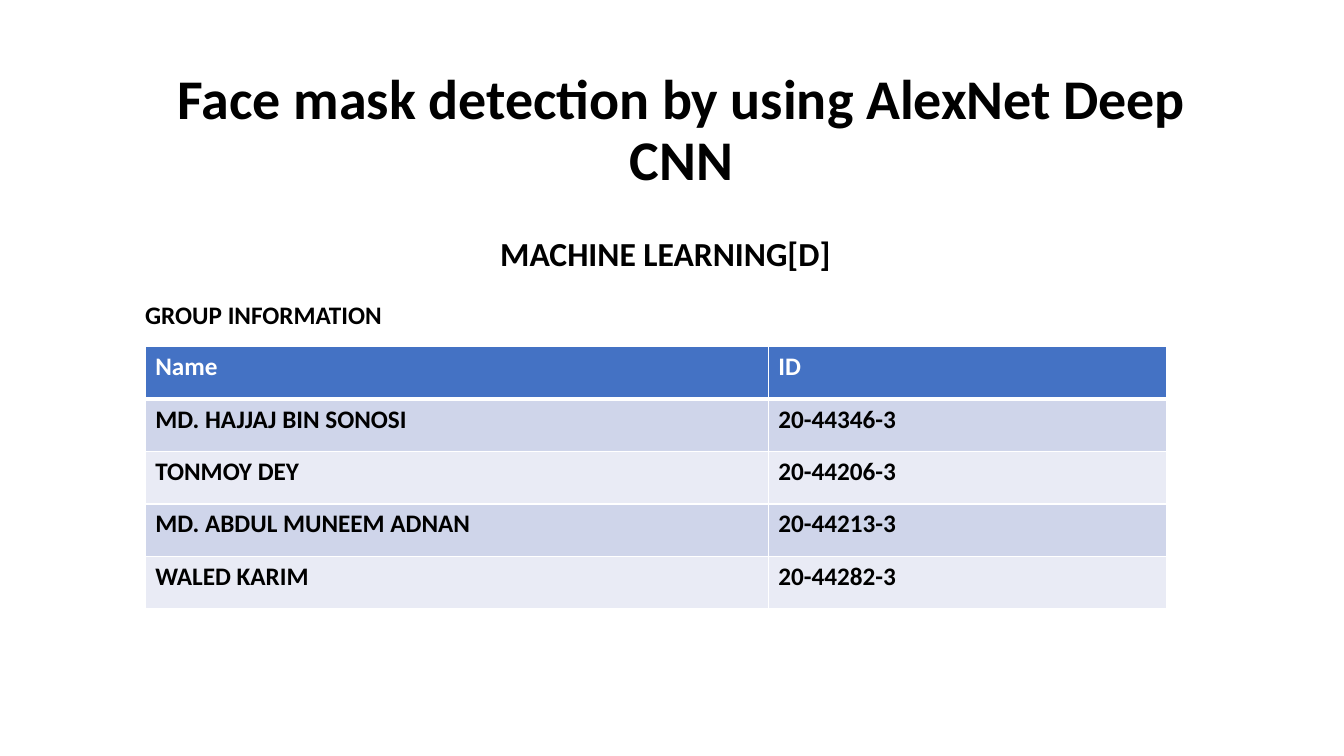
from pptx import Presentation
from pptx.dml.color import RGBColor
from pptx.enum.text import MSO_ANCHOR, MSO_AUTO_SIZE, PP_ALIGN
from pptx.oxml import parse_xml
from pptx.oxml.ns import nsdecls
from pptx.util import Inches, Pt


def color(value):
    return RGBColor.from_string(value)


def write(text_frame, text, size, font_color="000000"):
    text_frame.word_wrap = True
    paragraph = text_frame.paragraphs[0]
    paragraph.text = text
    paragraph.font.name = "Calibri"
    paragraph.font.size = Pt(size)
    paragraph.font.bold = True
    paragraph.font.color.rgb = color(font_color)
    return paragraph


presentation = Presentation()
presentation.slide_width = Inches(13.33)
presentation.slide_height = Inches(7.5)
slide = presentation.slides.add_slide(presentation.slide_layouts[5])

title = slide.shapes.title
title.left, title.top = Inches(1.32), Inches(0.84)
title.width, title.height = Inches(10.88), Inches(1.12)
title.text_frame.auto_size = MSO_AUTO_SIZE.NONE
title.text_frame.vertical_anchor = MSO_ANCHOR.BOTTOM
paragraph = write(title.text_frame, "Face mask detection by using AlexNet Deep CNN", 40)
paragraph.alignment = PP_ALIGN.CENTER
paragraph.line_spacing = 0.9

course = slide.shapes.add_textbox(Inches(1), Inches(2.31), Inches(11.2), Inches(0.61))
paragraph = write(course.text_frame, "MACHINE LEARNING[D]", 24)
paragraph.alignment = PP_ALIGN.CENTER
paragraph.line_spacing = 0.9

group = slide.shapes.add_textbox(Inches(1), Inches(2.92), Inches(11.22), Inches(4.05))
group.text_frame.margin_left = Inches(0.44)
write(group.text_frame, "GROUP INFORMATION", 18)

members = [
    ("Name", "ID"),
    ("MD. HAJJAJ BIN SONOSI", "20-44346-3"),
    ("TONMOY DEY", "20-44206-3"),
    ("MD. ABDUL MUNEEM ADNAN", "20-44213-3"),
    ("WALED KARIM", "20-44282-3"),
]
row_height = Inches(0.52)
table = slide.shapes.add_table(
    len(members), 2, Inches(1.44), Inches(3.44), Inches(10.13), row_height * len(members)
).table
table.columns[0].width = Inches(6.18)
table.columns[1].width = Inches(3.95)

for row, member in enumerate(members):
    table.rows[row].height = row_height
    fill_color = "4472C4" if row == 0 else ("E9EBF5", "CFD5EA")[row % 2]
    for column, text in enumerate(member):
        cell = table.cell(row, column)
        write(cell.text_frame, text, 18, "FFFFFF" if row == 0 else "000000")
        cell.fill.solid()
        cell.fill.fore_color.rgb = color(fill_color)
        properties = cell._tc.get_or_add_tcPr()
        for position, side in enumerate(("lnL", "lnR", "lnT", "lnB")):
            header_rule = (row, side) in ((0, "lnB"), (1, "lnT"))
            border = parse_xml(
                f'<a:{side} {nsdecls("a")} w="{Pt(3 if header_rule else 1)}">'
                f'<a:solidFill><a:srgbClr val="FFFFFF"/></a:solidFill></a:{side}>'
            )
            properties.insert(position, border)

presentation.save("out.pptx")
